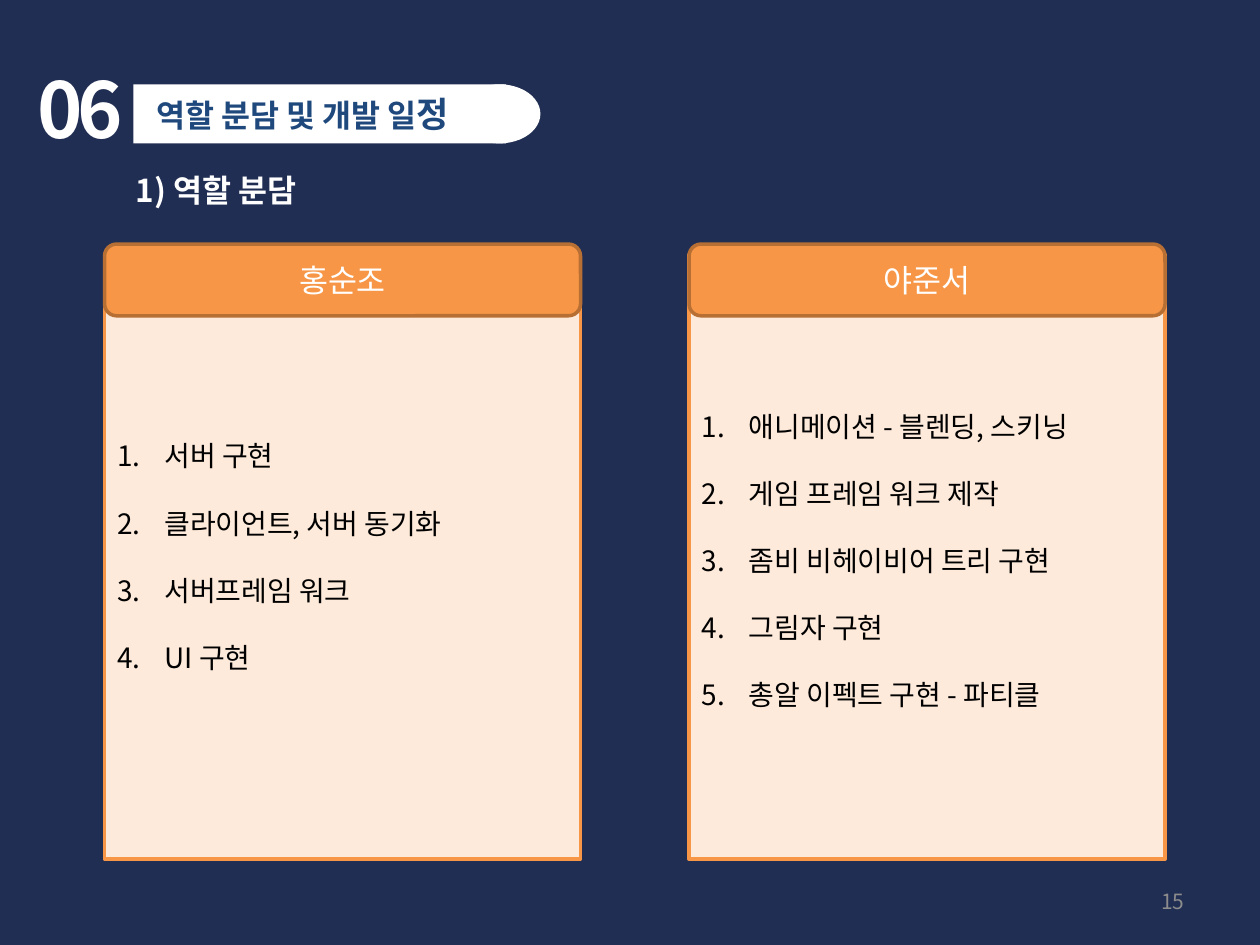
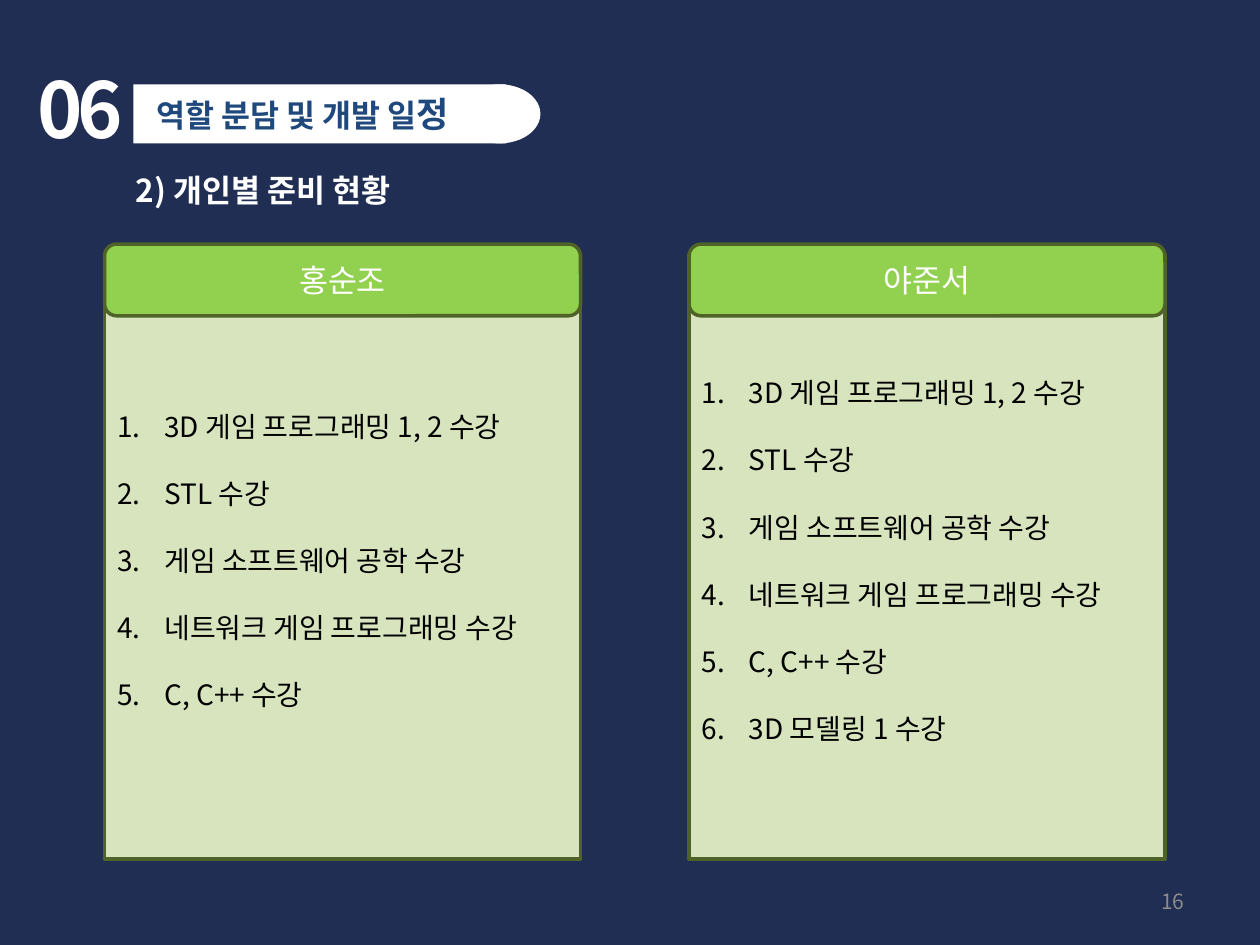
from lxml import etree
from pptx import Presentation
from pptx.dml.color import RGBColor
from pptx.enum import shapes, text
from pptx.oxml import ns
from pptx.util import Pt

FONT = "Noto Sans CJK KR"
NAVY = RGBColor(0x21, 0x2E, 0x53)
BLUE = RGBColor(0x1F, 0x49, 0x7D)
WHITE = RGBColor(0xFF, 0xFF, 0xFF)
BLACK = RGBColor(0x00, 0x00, 0x00)
GRAY = RGBColor(0x8C, 0x8C, 0x8C)
ORANGE_THEME = {
    "header": RGBColor(0xF7, 0x96, 0x46), "header_line": RGBColor(0xB7, 0x6F, 0x34),
    "panel": RGBColor(0xFD, 0xEA, 0xDA), "panel_line": RGBColor(0xF7, 0x96, 0x46),
}
GREEN_THEME = {
    "header": RGBColor(0x92, 0xD0, 0x50), "header_line": RGBColor(0x4F, 0x62, 0x28),
    "panel": RGBColor(0xD7, 0xE4, 0xBD), "panel_line": RGBColor(0x4F, 0x62, 0x28),
}

SECTION_NUMBER = "06"
SECTION_TITLE = [("역할 분담 및 개발 일", 18), ("정", 20)]
COURSES = ["3D 게임 프로그래밍 1, 2 수강", "STL 수강", "게임 소프트웨어 공학 수강",
           "네트워크 게임 프로그래밍 수강", "C, C++ 수강"]
SLIDES = [
    {"page": 15, "subtitle": "1) 역할 분담", "theme": ORANGE_THEME, "members": [
        ("홍순조", ["서버 구현", "클라이언트, 서버 동기화", "서버프레임 워크", "UI 구현"], 4.6),
        ("야준서", ["애니메이션 - 블렌딩, 스키닝", "게임 프레임 워크 제작",
                 "좀비 비헤이비어 트리 구현", "그림자 구현", "총알 이펙트 구현 - 파티클"], 0),
    ]},
    {"page": 16, "subtitle": "2) 개인별 준비 현황", "theme": GREEN_THEME, "members": [
        ("홍순조", COURSES, 0),
        ("야준서", COURSES + ["3D 모델링 1 수강"], 0),
    ]},
]

PANEL_LEFT, PANEL_WIDTH, PANEL_PITCH = 59.75, 272, 334
PANEL_TOP, PANEL_HEIGHT = 145.5, 345.5
HEADER_TOP, HEADER_HEIGHT = 139.5, 41
LINE_HEIGHT, ITEM_GAP, ITEM_INDENT = 23.2, 15.2, 27
INSET = 3.6


def place(shape, left, top, width, height):
    shape.left, shape.top = Pt(left), Pt(top)
    shape.width, shape.height = Pt(width), Pt(height)


def add_run(paragraph, content, size, color, bold=False):
    run = paragraph.add_run()
    run.text = content
    run.font.size, run.font.bold = Pt(size), bold
    run.font.color.rgb = color
    run.font.name = FONT
    properties = run._r.get_or_add_rPr()
    etree.SubElement(properties, ns.qn("a:ea"), typeface=FONT)
    return properties


def paint(shape, fill, line=None):
    shape.fill.solid()
    shape.fill.fore_color.rgb = fill
    if line is None:
        shape.line.fill.background()
    else:
        shape.line.color.rgb = line
        shape.line.width = Pt(2)


def add_shape(collection, kind, box, fill, line=None):
    shape = collection.add_shape(kind, *map(Pt, box))
    shape.shadow.inherit = False
    paint(shape, fill, line)
    return shape


def add_label(slide, box, content, size, color, bold=False, wrap=True):
    label = slide.shapes.add_textbox(*map(Pt, box))
    label.text_frame.word_wrap = wrap
    paragraph = label.text_frame.paragraphs[0]
    return label, add_run(paragraph, content, size, color, bold)


def add_heading(slide, subtitle):
    _, properties = add_label(slide, (14.4, 31.7, 79.2, 60.5), SECTION_NUMBER, 44, WHITE, True)
    properties.set("spc", "-300")
    pill = slide.shapes.add_group_shape().shapes
    add_shape(pill, shapes.MSO_SHAPE.RECTANGLE, (76.3, 48.2, 213, 33.8), WHITE)
    add_shape(pill, shapes.MSO_SHAPE.OVAL, (262, 48.2, 46.8, 33.8), WHITE)

    title = slide.shapes.title
    title.element.getparent().append(title.element)  # lift above the pill
    place(title, 82, 49, 210, 31.7)
    frame = title.text_frame
    frame.auto_size = text.MSO_AUTO_SIZE.NONE
    frame.vertical_anchor = text.MSO_ANCHOR.TOP
    paragraph = frame.paragraphs[0]
    paragraph.alignment = text.PP_ALIGN.LEFT
    for content, size in SECTION_TITLE:
        add_run(paragraph, content, size, BLUE, True)
    add_label(slide, (70.6, 94.3, 184, 28.8), subtitle, 18, WHITE, True, wrap=False)


def fill_list(panel, items, lift):
    """Number the items; lift is extra bottom inset that raises the centred list."""
    frame = panel.text_frame
    frame.auto_size = text.MSO_AUTO_SIZE.NONE
    frame.vertical_anchor = text.MSO_ANCHOR.MIDDLE
    frame.margin_bottom = Pt(INSET + lift)
    for index, item in enumerate(items):
        paragraph = frame.add_paragraph() if index else frame.paragraphs[0]
        paragraph.line_spacing = Pt(LINE_HEIGHT)
        paragraph.space_before = Pt(ITEM_GAP if index else 0)
        properties = paragraph._p.get_or_add_pPr()
        properties.set("marL", str(Pt(ITEM_INDENT)))
        properties.set("indent", str(-Pt(ITEM_INDENT)))
        etree.SubElement(properties, ns.qn("a:buFont"), typeface=FONT)
        etree.SubElement(properties, ns.qn("a:buAutoNum"), type="arabicPeriod")
        add_run(paragraph, item, 16, BLACK)


def add_member(slide, column, member, theme):
    name, items, lift = member
    left = PANEL_LEFT + column * PANEL_PITCH
    panel = slide.placeholders[column + 1]
    place(panel, left, PANEL_TOP, PANEL_WIDTH, PANEL_HEIGHT)
    paint(panel, theme["panel"], theme["panel_line"])
    fill_list(panel, items, lift)

    header = add_shape(slide.shapes, shapes.MSO_SHAPE.ROUNDED_RECTANGLE,
                       (left, HEADER_TOP, PANEL_WIDTH, HEADER_HEIGHT),
                       theme["header"], theme["header_line"])
    header.text_frame.vertical_anchor = text.MSO_ANCHOR.MIDDLE
    paragraph = header.text_frame.paragraphs[0]
    paragraph.alignment = text.PP_ALIGN.CENTER
    add_run(paragraph, name, 18, WHITE)


def add_page_number(slide, page):
    label, _ = add_label(slide, (516, 500.5, 168, 28.75), str(page), 12, GRAY)
    label.text_frame.vertical_anchor = text.MSO_ANCHOR.MIDDLE
    label.text_frame.paragraphs[0].alignment = text.PP_ALIGN.RIGHT


def main():
    presentation = Presentation()
    presentation.slide_width, presentation.slide_height = Pt(720), Pt(540)
    background = presentation.slide_master.background.fill
    background.solid()
    background.fore_color.rgb = NAVY
    two_content = presentation.slide_layouts.get_by_name("Two Content")
    for content in SLIDES:
        slide = presentation.slides.add_slide(two_content)
        add_heading(slide, content["subtitle"])
        for column, member in enumerate(content["members"]):
            add_member(slide, column, member, content["theme"])
        add_page_number(slide, content["page"])
    presentation.save("out.pptx")


if __name__ == "__main__":
    main()
